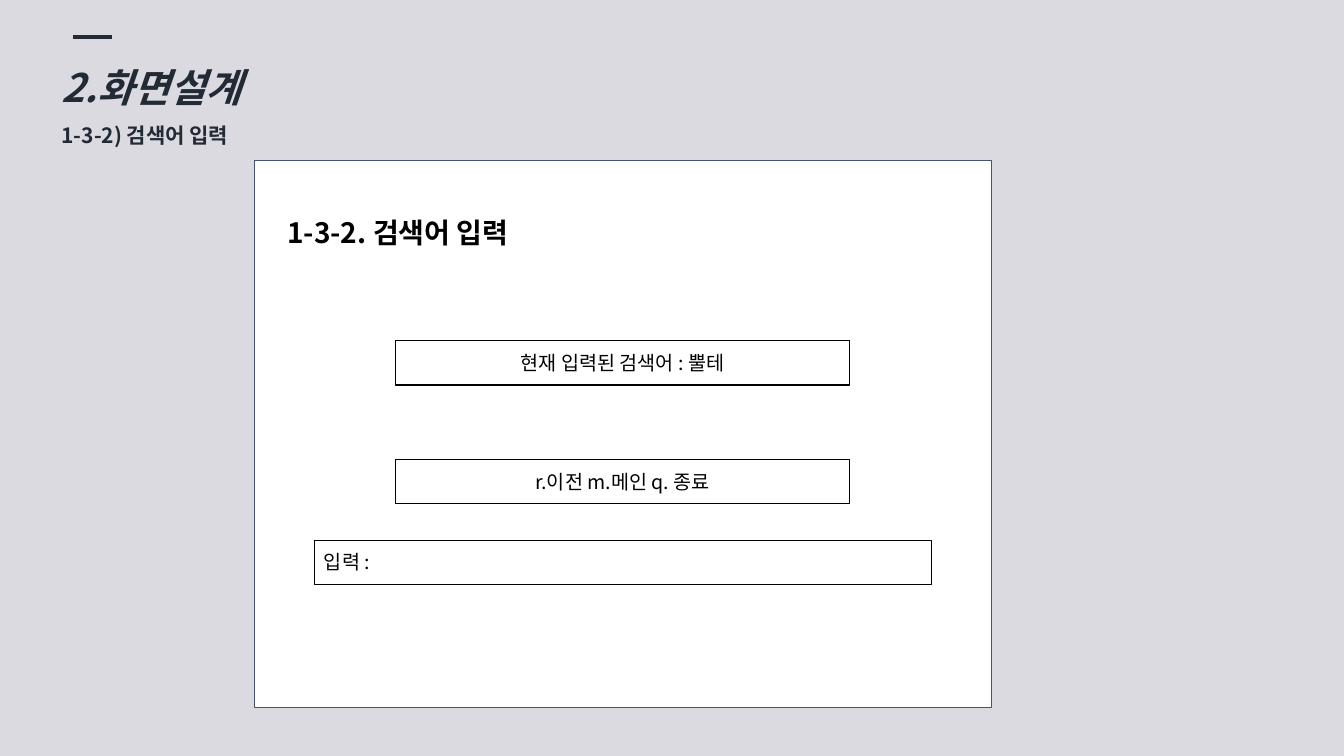
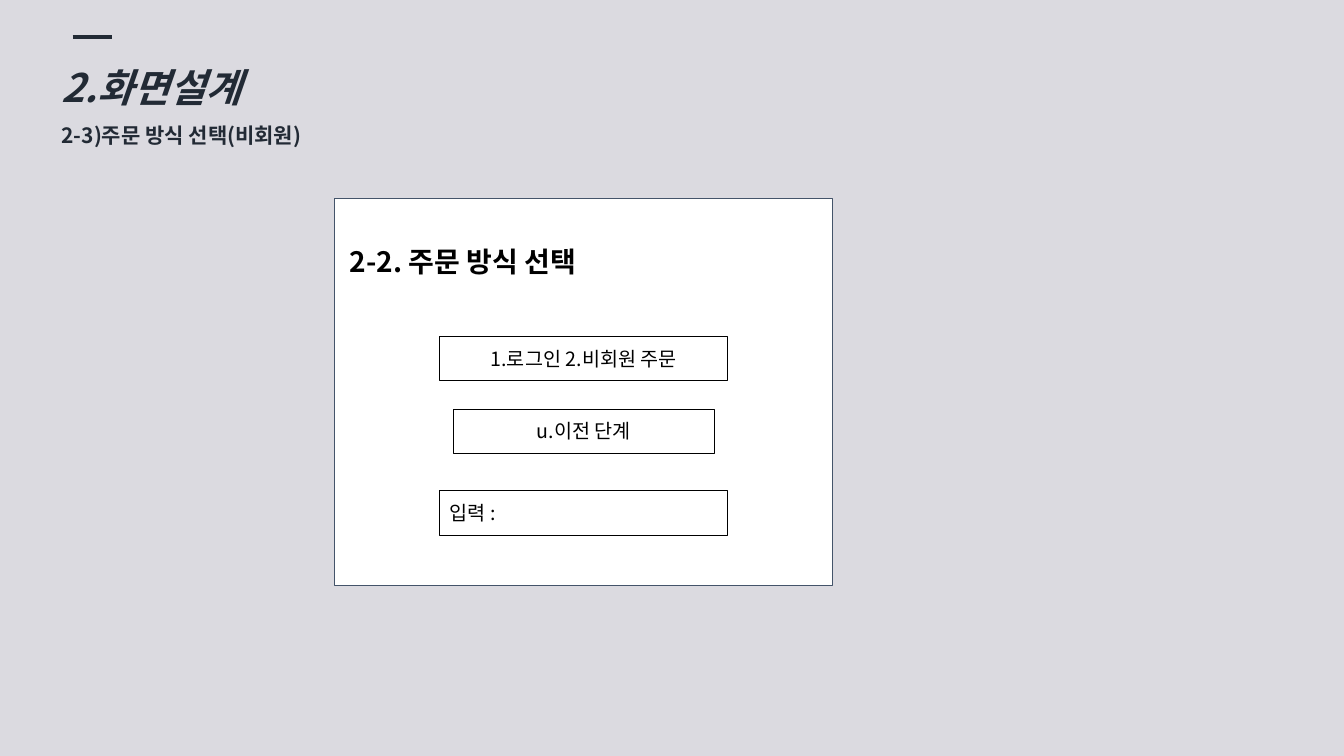
"""Build two screen-design slides, each with a wireframe panel."""
from dataclasses import dataclass

from lxml.etree import SubElement
from pptx import Presentation
from pptx.dml.color import RGBColor
from pptx.enum.shapes import MSO_CONNECTOR, MSO_SHAPE
from pptx.enum.text import MSO_ANCHOR, MSO_AUTO_SIZE, PP_ALIGN
from pptx.oxml.ns import qn
from pptx.shapes.autoshape import Shape
from pptx.slide import Slide
from pptx.text.text import TextFrame, _Paragraph as Paragraph
from pptx.util import Inches, Pt

FONT = "Noto Sans CJK KR"
COLORS = {
    "background": "DBDAE0",
    "title": "222A35",
    "panel": "FFFFFF",
    "panel_border": "44546A",
    "ink": "000000",
}
SECTION = "2.화면설계"
FIELD_HEIGHT = 0.44
TITLE_ONLY = 5


@dataclass(frozen=True)
class Box:
    left: float
    top: float
    width: float
    height: float


@dataclass(frozen=True)
class Field:
    text: str
    top: float
    width: float
    align: PP_ALIGN = PP_ALIGN.CENTER


@dataclass(frozen=True)
class Screen:
    subtitle: str
    panel: Box
    heading: str
    heading_box: Box
    fields: tuple[Field, ...]


SCREENS = (
    Screen(
        "1-3-2) 검색어 입력",
        Box(2.52, 1.59, 7.31, 5.43),
        "1-3-2. 검색어 입력",
        Box(2.75, 2.04, 4.5, 0.54),
        (
            Field("현재 입력된 검색어 : 뿔테", 3.38, 4.5),
            Field("r.이전 m.메인 q. 종료", 4.56, 4.5),
            Field("입력 :", 5.36, 6.12, PP_ALIGN.LEFT),
        ),
    ),
    Screen(
        "2-3)주문 방식 선택(비회원)",
        Box(3.32, 1.97, 4.94, 3.84),
        "2-2. 주문 방식 선택",
        Box(3.37, 2.33, 3.04, 0.54),
        (
            Field("1.로그인 2.비회원 주문", 3.34, 2.86),
            Field("u.이전 단계", 4.06, 2.59),
            Field("입력 :", 4.87, 2.86, PP_ALIGN.LEFT),
        ),
    ),
)


def color(name: str) -> RGBColor:
    return RGBColor.from_string(COLORS[name])


def lengths(box: Box) -> tuple[Inches, ...]:
    return tuple(Inches(value) for value in (box.left, box.top, box.width, box.height))


def add_run(paragraph: Paragraph, text: str, size: int, color_name: str,
            bold: bool = False, italic: bool = False) -> None:
    run = paragraph.add_run()
    run.text = text
    font = run.font
    font.size, font.bold, font.italic = Pt(size), bold, italic
    font.color.rgb = color(color_name)
    font.name = FONT
    SubElement(font._element, qn("a:ea"), typeface=FONT)


def format_frame(frame: TextFrame, vertical_inset: float, auto_size: MSO_AUTO_SIZE) -> None:
    frame.word_wrap = True
    frame.auto_size = auto_size
    frame.vertical_anchor = MSO_ANCHOR.TOP
    frame.margin_left = frame.margin_right = Inches(0.1)
    frame.margin_top = frame.margin_bottom = Inches(vertical_inset)


def add_rectangle(shapes, box: Box, border: str) -> Shape:
    shape = shapes.add_shape(MSO_SHAPE.RECTANGLE, *lengths(box))
    shape.shadow.inherit = False
    shape.line.color.rgb = color(border)
    shape.line.width = Pt(0.75)
    return shape


def add_title(slide: Slide, subtitle: str) -> None:
    title = slide.shapes.title
    title.left, title.top, title.width, title.height = lengths(Box(0.51, 0.34, 4.3, 1.14))
    frame = title.text_frame
    format_frame(frame, 0.05, MSO_AUTO_SIZE.NONE)
    lines = ((frame.paragraphs[0], SECTION, 28, True), (frame.add_paragraph(), subtitle, 15, False))
    for paragraph, text, size, italic in lines:
        paragraph.alignment = PP_ALIGN.LEFT
        paragraph.line_spacing = 1.5
        add_run(paragraph, text, size, "title", bold=True, italic=italic)

    accent = slide.shapes.add_connector(
        MSO_CONNECTOR.STRAIGHT, Inches(0.72), Inches(0.37), Inches(1.11), Inches(0.37))
    accent.line.color.rgb = color("title")
    accent.line.width = Pt(3)
    SubElement(accent._element.spPr, qn("a:effectLst"))


def add_panel(slide: Slide, screen: Screen) -> None:
    group = slide.shapes.add_group_shape()
    panel = add_rectangle(group.shapes, screen.panel, "panel_border")
    panel.fill.solid()
    panel.fill.fore_color.rgb = color("panel")

    heading = group.shapes.add_textbox(*lengths(screen.heading_box))
    format_frame(heading.text_frame, 0.1, MSO_AUTO_SIZE.SHAPE_TO_FIT_TEXT)
    add_run(heading.text_frame.paragraphs[0], screen.heading, 20, "ink", bold=True)


def add_field(slide: Slide, panel: Box, field: Field) -> None:
    left = panel.left + (panel.width - field.width) / 2
    shape = add_rectangle(slide.shapes, Box(left, field.top, field.width, FIELD_HEIGHT), "ink")
    shape.fill.background()
    format_frame(shape.text_frame, 0.1, MSO_AUTO_SIZE.SHAPE_TO_FIT_TEXT)
    paragraph = shape.text_frame.paragraphs[0]
    paragraph.alignment = field.align
    add_run(paragraph, field.text, 14, "ink")


def main() -> None:
    presentation = Presentation()
    presentation.slide_width, presentation.slide_height = Inches(13.33), Inches(7.5)
    background = presentation.slide_master.background.fill
    background.solid()
    background.fore_color.rgb = color("background")

    for screen in SCREENS:
        slide = presentation.slides.add_slide(presentation.slide_layouts[TITLE_ONLY])
        add_title(slide, screen.subtitle)
        add_panel(slide, screen)
        for field in screen.fields:
            add_field(slide, screen.panel, field)

    presentation.save("out.pptx")


if __name__ == "__main__":
    main()
